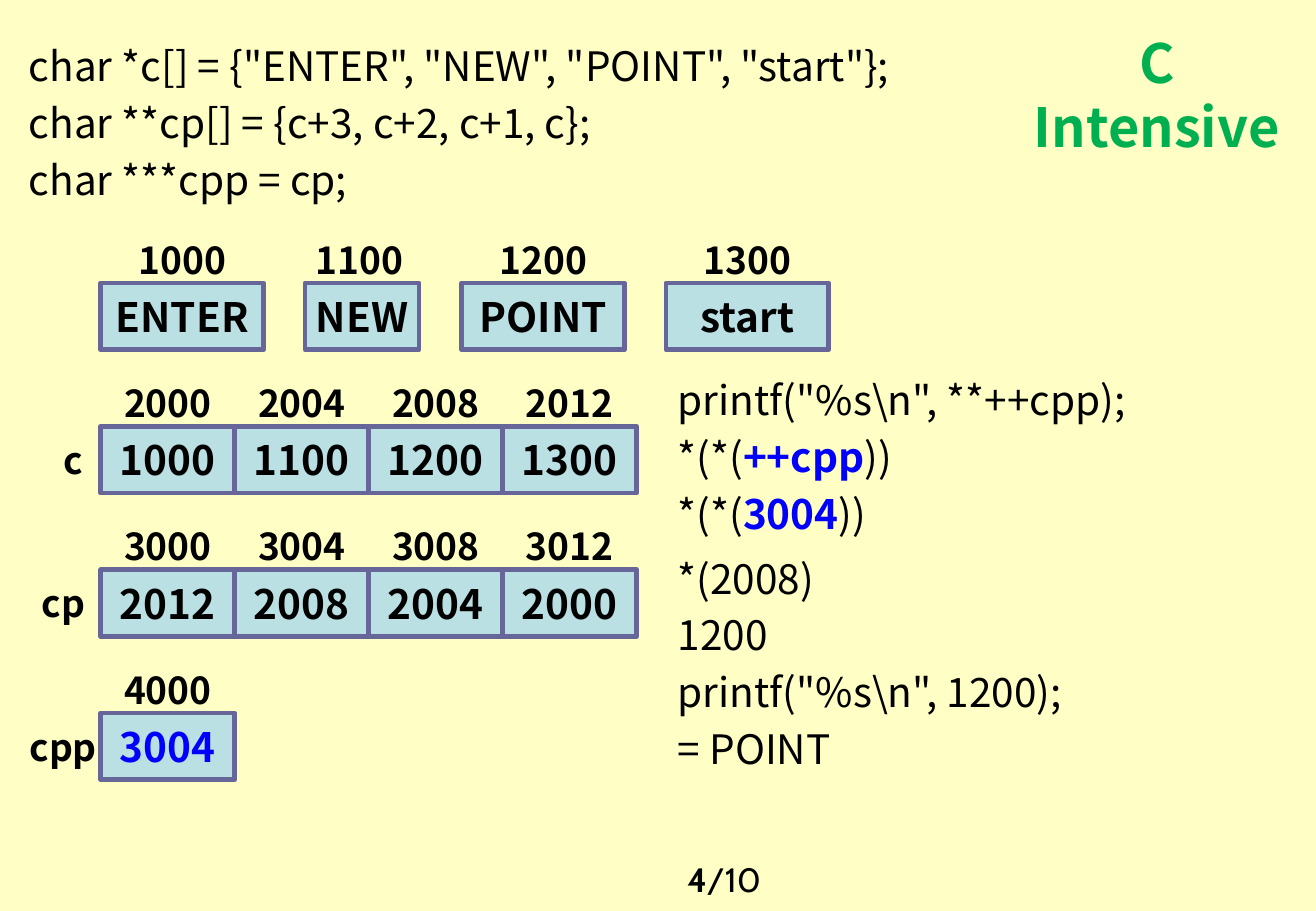
"""Build a slide that traces C pointers to strings through memory diagrams."""
from pptx import Presentation
from pptx.dml.color import RGBColor
from pptx.enum.shapes import MSO_SHAPE
from pptx.enum.text import MSO_ANCHOR, PP_ALIGN
from pptx.util import Inches, Pt

FONT = "Noto Sans CJK KR"
BLACK, BLUE, GREEN = "000000", "0000FF", "00B050"


def color(value):
    return RGBColor.from_string(value)


def add_text(left, top, width, height, lines, size=24, align=PP_ALIGN.CENTER,
             anchor=MSO_ANCHOR.MIDDLE, wrap=False, boxed=False, font=FONT):
    area = [Inches(length) for length in (left, top, width, height)]
    if boxed:
        box = page.shapes.add_shape(MSO_SHAPE.RECTANGLE, *area)
        box.shadow.inherit = False
        box.fill.solid()
        box.fill.fore_color.rgb = color("BBE0E3")
        box.line.color.rgb = color("666699")
        box.line.width = Pt(2.75)
    else:
        box = page.shapes.add_textbox(*area)
    frame = box.text_frame
    frame.word_wrap = wrap
    frame.vertical_anchor = anchor
    if not wrap:
        frame.margin_left = frame.margin_right = Inches(0)
    for index, spans in enumerate(lines):
        para = frame.paragraphs[0] if index == 0 else frame.add_paragraph()
        para.alignment = align
        para.line_spacing = Pt(size * 1.2)
        if index:
            para.space_before = Pt(4.8)
        for text, bold, shade in spans:
            span = para.add_run()
            span.text = text
            span.font.name = font
            span.font.size = Pt(size)
            span.font.bold = bold
            span.font.color.rgb = color(shade)


deck = Presentation()
deck.slide_width, deck.slide_height = Inches(10.83), Inches(7.5)
page = deck.slides.add_slide(deck.slide_layouts[6])
page.background.fill.solid()
page.background.fill.fore_color.rgb = color("FFFFC5")

add_text(8.35, 0.19, 2.34, 1.2, [[("C Intensive", True, GREEN)]], size=32,
         anchor=MSO_ANCHOR.TOP, wrap=True)
add_text(4.63, 6.93, 2.66, 0.52, [[("4", True, BLACK), ("/10", False, BLACK)]],
         size=20, anchor=MSO_ANCHOR.BOTTOM, wrap=True, font="Cabin")

declarations = [
    [(text, False, BLACK)]
    for text in ('char *c[] = {"ENTER", "NEW", "POINT", "start"};',
                 "char **cp[] = {c+3, c+2, c+1, c};",
                 "char ***cpp = cp;")
]
expansion = [[('printf("%s\\n", **++cpp);', False, BLACK)]] + [
    [("*(*(", False, BLACK), (inner, True, BLUE), ("))", False, BLACK)]
    for inner in ("++cpp", "3004")
]
result = [
    [(text, False, BLACK)]
    for text in ("*(2008)", "1200", 'printf("%s\\n", 1200);', "= POINT")
]
for left, top, width, height, lines in [
    (0.14, 0.29, 7.8, 1.47, declarations),
    (5.48, 3.04, 4.35, 1.47, expansion),
    (5.48, 4.51, 4.09, 1.96, result),
]:
    add_text(left, top, width, height, lines, align=PP_ALIGN.LEFT,
             anchor=MSO_ANCHOR.TOP, wrap=True)

cells = [
    (0.83, 0.83, 2.33, 1.34, "1000", "ENTER", BLACK),
    (2.51, 2.49, 2.33, 0.94, "1100", "NEW", BLACK),
    (3.8, 3.8, 2.33, 1.34, "1200", "POINT", BLACK),
    (5.48, 5.48, 2.33, 1.34, "1300", "start", BLACK),
]
arrays = [
    ("c", 0.3, 2000, ["1000", "1100", "1200", "1300"], BLACK),
    ("cp", 0.22, 3000, ["2012", "2008", "2004", "2000"], BLACK),
    ("cpp", 0.22, 4000, ["3004"], BLUE),
]
cell_width = 4.41 / 4
for row, (name, name_left, base, values, shade) in enumerate(arrays):
    top = 3.51 + 1.18 * row
    add_text(name_left, top + 0.08, 0.6, 0.39, [[(name, True, BLACK)]], size=22)
    for column, value in enumerate(values):
        left = 0.83 + cell_width * column
        cells.append((left, left, top, cell_width, str(base + 4 * column), value, shade))

for left, address_left, top, width, address, value, shade in cells:
    add_text(address_left, top - 0.39, width, 0.39, [[(address, True, BLACK)]], size=22)
    add_text(left, top, width, 0.55, [[(value, True, shade)]], boxed=True)

deck.save("out.pptx")
